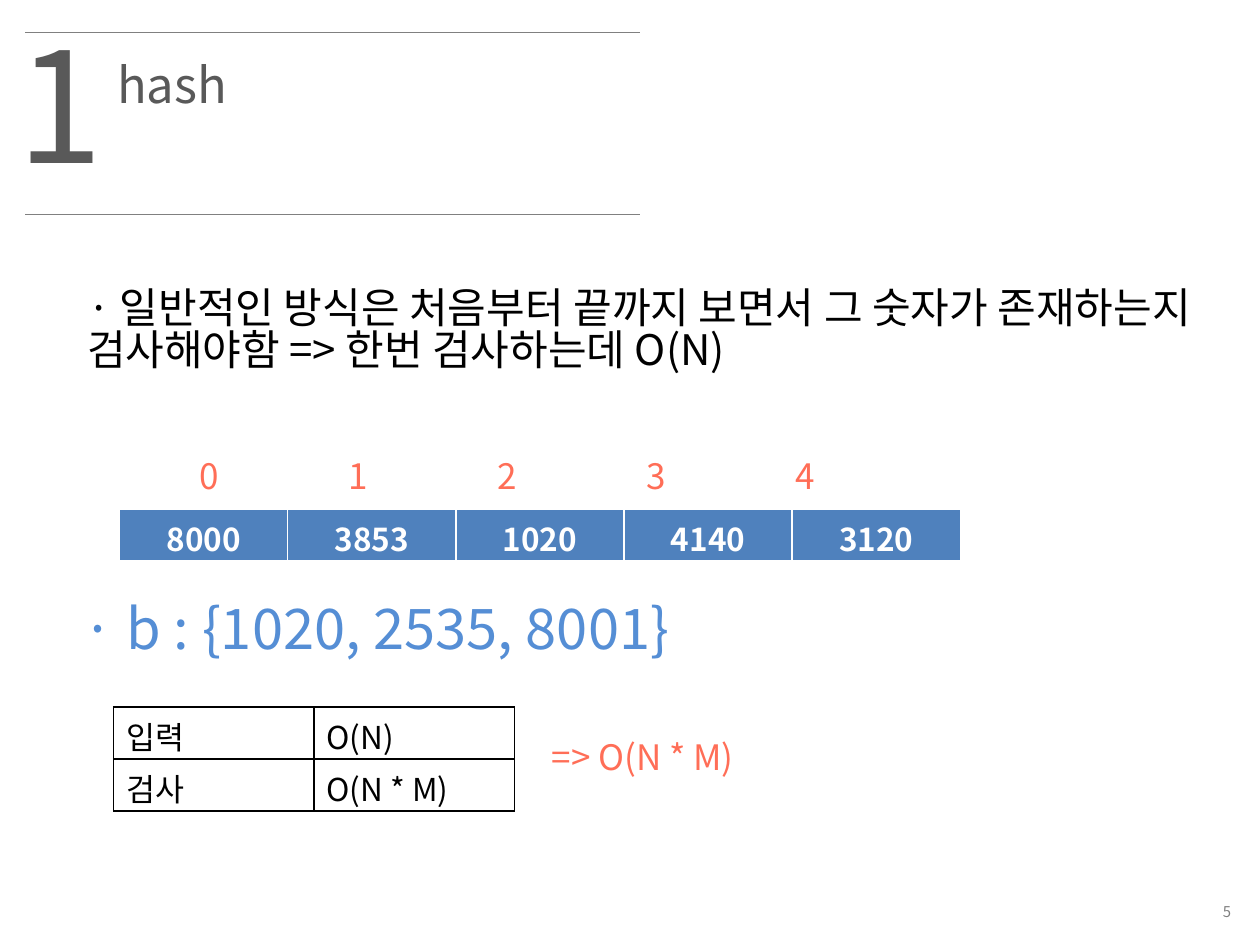
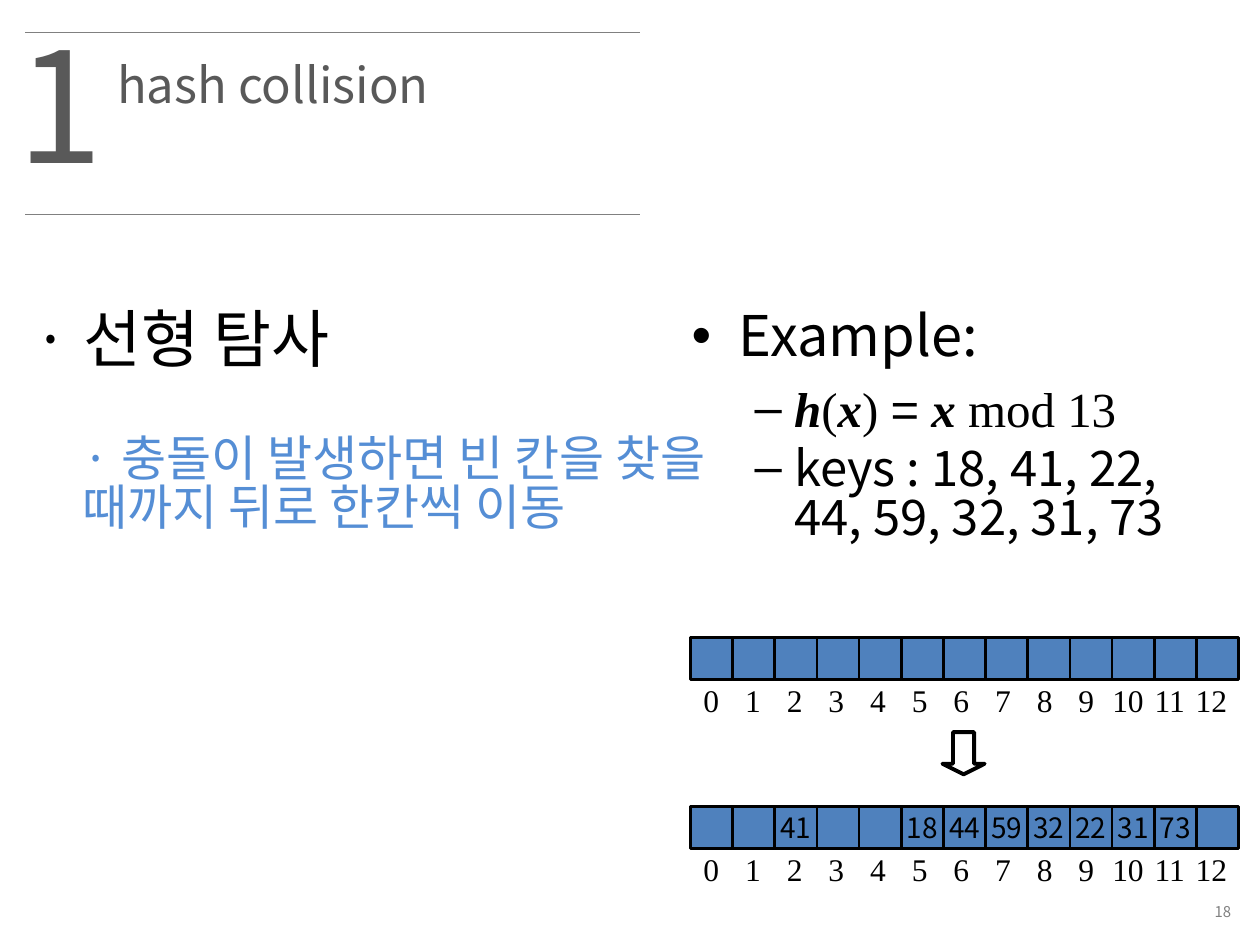
"""Build two slides about hashing: plain search cost and linear probing."""
from lxml import etree
from pptx import Presentation
from pptx.dml.color import RGBColor
from pptx.enum.shapes import MSO_CONNECTOR, MSO_SHAPE
from pptx.enum.text import MSO_ANCHOR, MSO_AUTO_SIZE, PP_ALIGN
from pptx.oxml.ns import qn
from pptx.util import Cm, Pt

STRAIGHT = MSO_CONNECTOR.STRAIGHT
RECTANGLE = MSO_SHAPE.RECTANGLE
DOWN_ARROW = MSO_SHAPE.DOWN_ARROW
TOP, MIDDLE = MSO_ANCHOR.TOP, MSO_ANCHOR.MIDDLE
LEFT, CENTER, RIGHT = PP_ALIGN.LEFT, PP_ALIGN.CENTER, PP_ALIGN.RIGHT

BLACK = RGBColor(0x00, 0x00, 0x00)
WHITE = RGBColor(0xFF, 0xFF, 0xFF)
GRAY = RGBColor(0x80, 0x80, 0x80)
DARK_GRAY = RGBColor(0x59, 0x59, 0x59)
BLUE = RGBColor(0x4F, 0x81, 0xBD)
LIGHT_BLUE = RGBColor(0x55, 0x8E, 0xD5)
CORAL = RGBColor(0xFF, 0x6E, 0x57)
SANS, SERIF, ARIAL = "Noto Sans CJK KR", "Times New Roman", "Arial"
SINGLE_LINE, WRAPPED = 0.89, 0.83


def write(paragraph, text, size=18, color=BLACK, font=SANS, bold=False,
          italic=False, align=LEFT, spacing=None):
    """Add a formatted run to a paragraph."""
    paragraph.alignment = align
    if spacing:
        paragraph.line_spacing = spacing
    run = paragraph.add_run()
    run.text = text
    run.font.size = Pt(size)
    run.font.name = font
    run.font.bold = bold
    run.font.italic = italic
    run.font.color.rgb = color
    etree.SubElement(run.font._element, qn("a:ea"), typeface=font)


def fill_text(shape, frame, text, anchor=TOP, wrap=True, bullet=False, **text_format):
    """Place a shape in a frame given in centimetres and write its first paragraph."""
    shape.left, shape.top, shape.width, shape.height = [Cm(length) for length in frame]
    text_frame = shape.text_frame
    text_frame.word_wrap = wrap
    text_frame.auto_size = MSO_AUTO_SIZE.NONE
    text_frame.vertical_anchor = anchor
    paragraph = text_frame.paragraphs[0]
    if shape.is_placeholder and not bullet:
        properties = paragraph._p.get_or_add_pPr()
        properties.set("marL", "0")
        properties.set("indent", "0")
        etree.SubElement(properties, qn("a:buNone"))
    paragraph.space_before = Pt(0)
    write(paragraph, text, **text_format)


presentation = Presentation()
presentation.slide_width, presentation.slide_height = Cm(25.4), Cm(19.05)

slides = []
for layout_index, title, number in [(1, "hash", "5"), (3, "hash collision", "18")]:
    slide = presentation.slides.add_slide(presentation.slide_layouts[layout_index])
    slides.append(slide)
    fill_text(slide.shapes.title, (2.11, 1.12, 7.19, 1.45), title,
              size=28, color=DARK_GRAY, spacing=SINGLE_LINE)
    fill_text(slide.shapes.add_textbox(0, 0, 0, 0), (0.1, 0.51, 2.01, 4.01), "1",
              size=88, color=DARK_GRAY, spacing=SINGLE_LINE)
    fill_text(slide.shapes.add_textbox(0, 0, 0, 0), (19.71, 18.03, 5.36, 0.69), number,
              anchor=MIDDLE, size=8.5, color=GRAY, align=RIGHT)
    for rule_top in (0.66, 4.32):
        rule = slide.shapes.add_connector(
            STRAIGHT, Cm(0.51), Cm(rule_top), Cm(12.9), Cm(rule_top))
        rule.line.color.rgb = GRAY
        rule.line.width = Pt(0.75)
        etree.SubElement(rule._element.spPr, qn("a:effectLst"))

search_slide, collision_slide = slides

fill_text(search_slide.placeholders[1], (1.5, 5.72, 23.32, 2.31),
          "· 일반적인 방식은 처음부터 끝까지 보면서 그 숫자가 존재하는지 "
          "검사해야함 => 한번 검사하는데 O(N)", size=24, spacing=WRAPPED)

index_box = search_slide.shapes.add_textbox(0, 0, 0, 0)
index_properties = index_box.text_frame.paragraphs[0]._p.get_or_add_pPr()
tab_list = etree.SubElement(index_properties, qn("a:tabLst"))
for step in range(1, 5):
    etree.SubElement(tab_list, qn("a:tab"), pos=str(Cm(3 * step)), algn="l")
fill_text(index_box, (3.78, 9.14, 15.1, 1.12), "0\t1\t2\t3\t4",
          size=20, color=CORAL, spacing=SINGLE_LINE)

fill_text(search_slide.shapes.add_textbox(0, 0, 0, 0), (1.42, 12.01, 14.81, 1.63),
          "· b : {1020, 2535, 8001}", size=32, color=LIGHT_BLUE, spacing=SINGLE_LINE)
fill_text(search_slide.shapes.add_textbox(0, 0, 0, 0), (10.87, 14.81, 11.84, 1.12),
          "=> O(N * M)", size=20, color=CORAL, spacing=SINGLE_LINE)

array_values = [["8000", "3853", "1020", "4140", "3120"]]
cost_values = [["입력", "O(N)"], ["검사", "O(N * M)"]]
tables = [
    (array_values, 2.41, 10.26, 3.39, 0.95, BLUE, WHITE,
     dict(color=WHITE, bold=True, align=CENTER)),
    (cost_values, 2.29, 14.25, 4.04, 1.03, None, BLACK, {}),
]
for values, left, top, column_width, row_height, fill, border, text_format in tables:
    row_count, column_count = len(values), len(values[0])
    table = search_slide.shapes.add_table(
        row_count, column_count, Cm(left), Cm(top),
        Cm(column_width * column_count), Cm(row_height * row_count)).table
    table.first_row = table.horz_banding = False
    for column in table.columns:
        column.width = Cm(column_width)
    for row, row_values in zip(table.rows, values):
        row.height = Cm(row_height)
        for cell, value in zip(row.cells, row_values):
            cell.margin_bottom = 0
            write(cell.text_frame.paragraphs[0], value, **text_format)
            cell_properties = cell._tc.get_or_add_tcPr()
            for side in ("a:lnL", "a:lnR", "a:lnT", "a:lnB"):
                edge = etree.SubElement(cell_properties, qn(side), w=str(Pt(1)))
                edge_fill = etree.SubElement(edge, qn("a:solidFill"))
                etree.SubElement(edge_fill, qn("a:srgbClr"), val=str(border))
            if fill:
                cell.fill.solid()
                cell.fill.fore_color.rgb = fill
            else:
                cell.fill.background()

fill_text(collision_slide.placeholders[1], (0.43, 6.1, 7.26, 1.8), "· 선형 탐사",
          size=36, spacing=SINGLE_LINE)
fill_text(collision_slide.shapes.add_textbox(0, 0, 0, 0), (1.42, 8.69, 13.13, 2.64),
          "· 충돌이 발생하면 빈 칸을 찾을 때까지 뒤로 한칸씩 이동",
          size=28, color=LIGHT_BLUE, spacing=WRAPPED)

example = collision_slide.placeholders[2]
fill_text(example, (13.69, 6.1, 10.59, 6.15), "Example:", bullet=True,
          size=32, spacing=SINGLE_LINE)
formula = example.text_frame.add_paragraph()
formula.level = 1
for text, font, emphasis in [("h", SERIF, True), ("(", SERIF, False), ("x", SERIF, True),
                             (") ", SERIF, False), ("=", ARIAL, False),
                             (" x ", SERIF, True), ("mod 13", SERIF, False)]:
    write(formula, text, size=28, font=font, bold=emphasis, italic=emphasis)
keys = example.text_frame.add_paragraph()
keys.level = 1
write(keys, "keys : 18, 41, 22, 44, 59, 32, 31, 73", size=28, spacing=WRAPPED)

SLOT_COUNT, SLOT_SIZE = 13, 0.85
hashed_keys = {2: "41", 5: "18", 6: "44", 7: "59", 8: "32", 9: "22", 10: "31", 11: "73"}
for slots_top, slot_keys in [(12.85, {}), (16.26, hashed_keys)]:
    for index in range(SLOT_COUNT):
        slot_frame = (13.92 + index * SLOT_SIZE, slots_top, SLOT_SIZE, SLOT_SIZE)
        slot = collision_slide.shapes.add_shape(
            RECTANGLE, *[Cm(length) for length in slot_frame])
        slot.shadow.inherit = False
        slot.fill.solid()
        slot.fill.fore_color.rgb = BLUE
        slot.line.color.rgb = BLACK
        slot.line.width = Pt(1.5)
        if index in slot_keys:
            fill_text(slot, slot_frame, slot_keys[index], anchor=MIDDLE, wrap=False,
                      size=16, align=CENTER)
        label_width = 0.84 if index < 10 else 1.14
        label_left = 14.34 + index * 0.84 - label_width / 2
        fill_text(collision_slide.shapes.add_textbox(0, 0, 0, 0),
                  (label_left, slots_top + 0.75, label_width, 1.02), str(index),
                  wrap=False, font=SERIF, align=CENTER)

arrow = collision_slide.shapes.add_shape(DOWN_ARROW, Cm(19), Cm(14.76), Cm(0.85), Cm(0.85))
arrow.adjustments[1] = 0.25
arrow.shadow.inherit = False
arrow.fill.background()
arrow.line.color.rgb = BLACK
arrow.line.width = Pt(2.25)

presentation.save("out.pptx")
